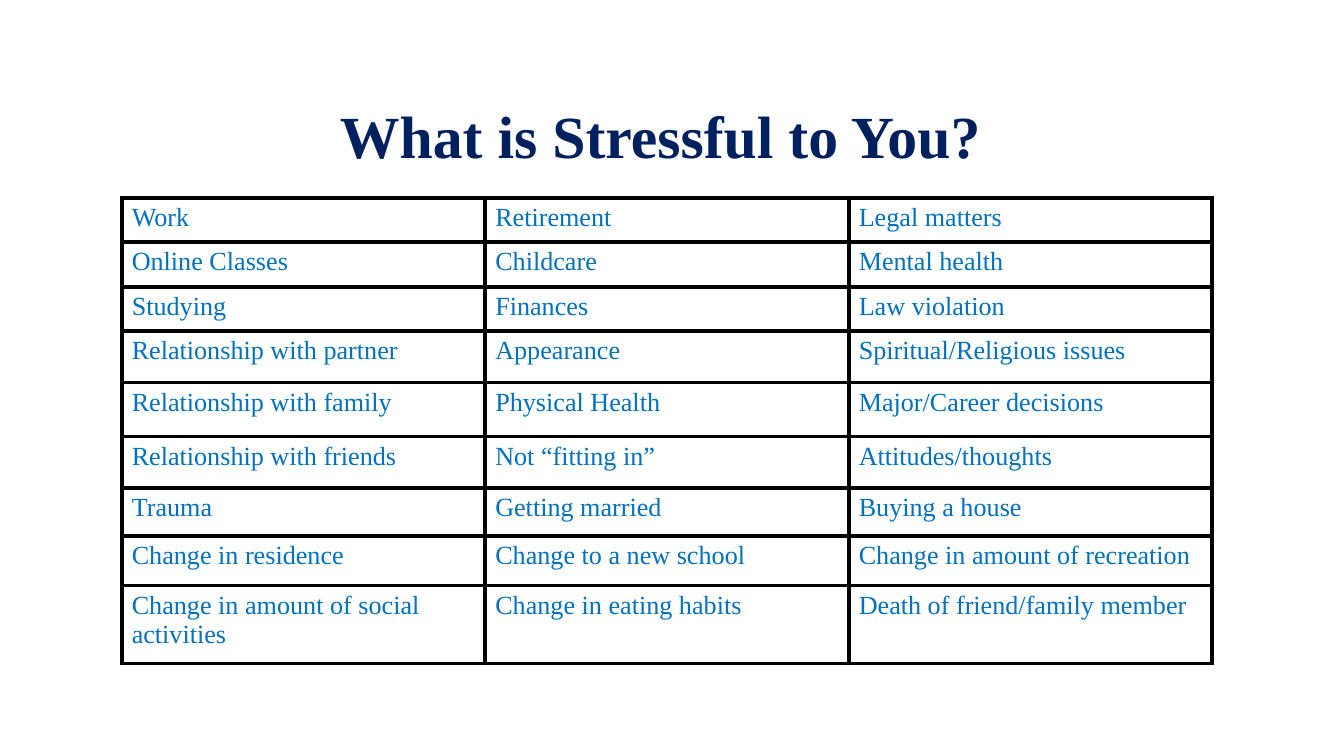
from pptx import Presentation
from pptx.dml.color import RGBColor
from pptx.enum.text import MSO_ANCHOR, PP_ALIGN
from pptx.oxml.ns import qn
from pptx.util import Cm, Pt
from lxml.etree import SubElement

# Content
TITLE = "What is Stressful to You?"
STRESSORS = [
    ("Work", "Retirement", "Legal matters"),
    ("Online Classes", "Childcare", "Mental health"),
    ("Studying", "Finances", "Law violation"),
    ("Relationship with partner", "Appearance", "Spiritual/Religious issues"),
    ("Relationship with family", "Physical Health", "Major/Career decisions"),
    ("Relationship with friends", "Not “fitting in”", "Attitudes/thoughts"),
    ("Trauma", "Getting married", "Buying a house"),
    ("Change in residence", "Change to a new school", "Change in amount of recreation"),
    ("Change in amount of social activities", "Change in eating habits",
     "Death of friend/family member"),
]

# Theme and layout, lengths in cm
THEME = {
    "font": "Times New Roman",
    "title_size": Pt(32),
    "cell_size": Pt(14),
    "title_color": RGBColor(0x00, 0x20, 0x60),
    "cell_color": RGBColor(0x00, 0x70, 0xC0),
    "border_color": "000000",
    "border_width": Pt(2.25),
}
COLUMN_WIDTH = 6.87
ROW_HEIGHTS = [0.84, 0.84, 0.84, 0.97, 1.02, 0.97, 0.91, 0.94, 1.47]


def style_font(font, size, color, bold=False):
    font.name = THEME["font"]
    font.size = size
    font.bold = bold
    font.color.rgb = color


def add_borders(cell):
    properties = cell._tc.get_or_add_tcPr()
    for position, side in enumerate(("lnL", "lnR", "lnT", "lnB")):
        line = properties.makeelement(qn(f"a:{side}"), {"w": str(THEME["border_width"])})
        fill = SubElement(line, qn("a:solidFill"))
        SubElement(fill, qn("a:srgbClr"), val=THEME["border_color"])
        properties.insert(position, line)


def add_title(slide):
    title = slide.shapes.title
    title.left, title.top, title.width, title.height = Cm(3.91), Cm(1.75), Cm(17.15), Cm(1.5)
    frame = title.text_frame
    frame.text = TITLE
    frame.vertical_anchor = MSO_ANCHOR.BOTTOM
    frame.margin_bottom = Cm(0.03)
    paragraph = frame.paragraphs[0]
    paragraph.alignment = PP_ALIGN.CENTER
    style_font(paragraph.font, THEME["title_size"], THEME["title_color"], bold=True)


def add_stressor_table(slide):
    column_count = len(STRESSORS[0])
    table = slide.shapes.add_table(
        len(STRESSORS), column_count, Cm(2.3), Cm(3.74),
        Cm(COLUMN_WIDTH * column_count), Cm(sum(ROW_HEIGHTS))).table
    table.first_row = table.horz_banding = False
    for column in table.columns:
        column.width = Cm(COLUMN_WIDTH)
    for row, height, texts in zip(table.rows, ROW_HEIGHTS, STRESSORS):
        row.height = Cm(height)
        for cell, text in zip(row.cells, texts):
            cell.text = text
            cell.margin_left = cell.margin_right = Cm(0.19)
            cell.margin_top = cell.margin_bottom = Cm(0.1)
            cell.fill.background()
            add_borders(cell)
            style_font(cell.text_frame.paragraphs[0].font,
                       THEME["cell_size"], THEME["cell_color"])


def main():
    presentation = Presentation()
    presentation.slide_width, presentation.slide_height = Cm(25.4), Cm(14.29)
    slide = presentation.slides.add_slide(presentation.slide_layouts[5])  # Title only
    add_title(slide)
    add_stressor_table(slide)
    presentation.save("out.pptx")


if __name__ == "__main__":
    main()
